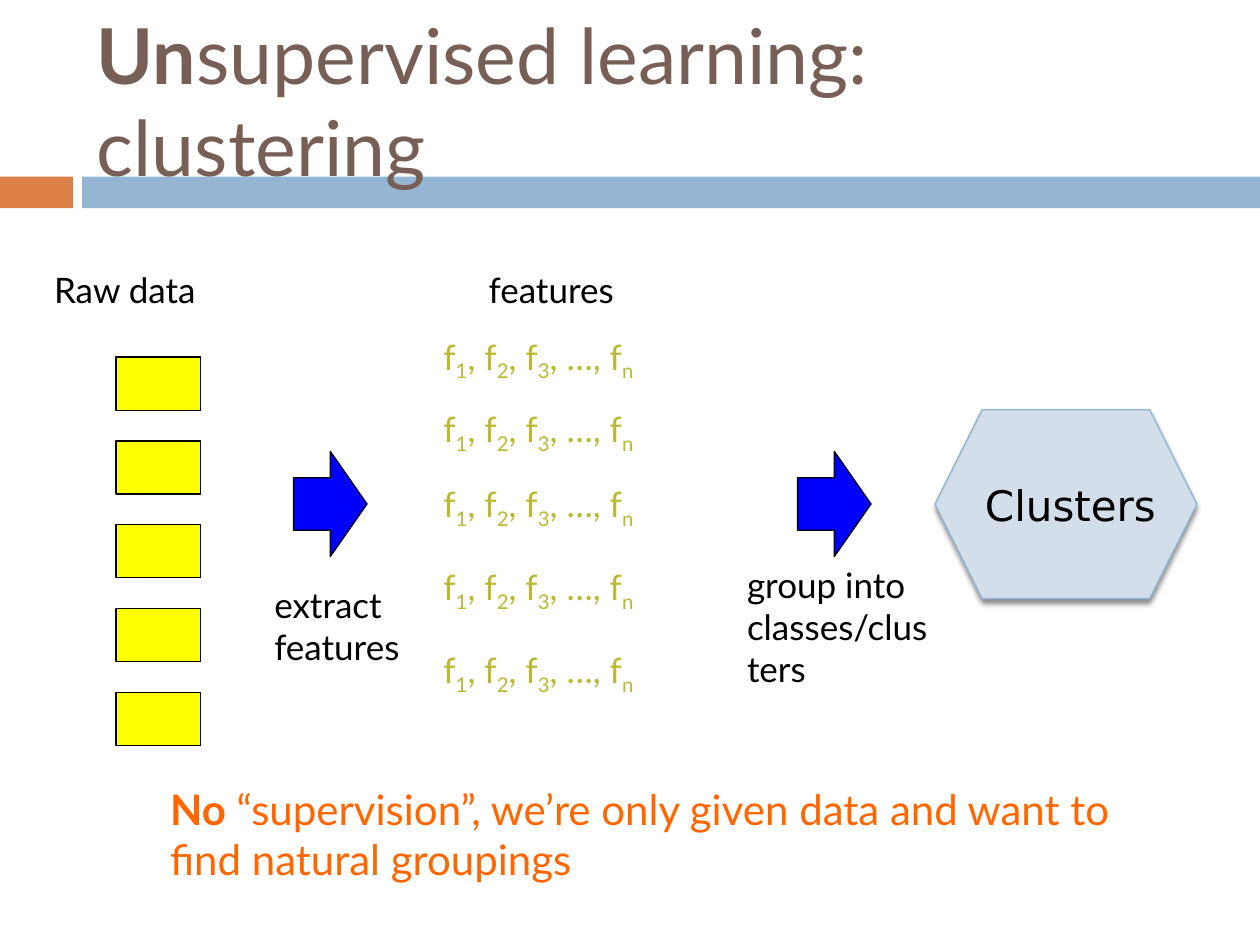
from lxml import etree
from pptx import Presentation
from pptx.dml.color import RGBColor
from pptx.enum import shapes, text
from pptx.oxml.ns import qn
from pptx.util import Cm, Pt

ORANGE = RGBColor(0xDD, 0x80, 0x47)
BLUE_GREY = RGBColor(0x94, 0xB6, 0xD2)
PALE_BLUE = RGBColor(0xD2, 0xDE, 0xEA)
BROWN = RGBColor(0x77, 0x5F, 0x55)
YELLOW = RGBColor(0xFF, 0xFF, 0x00)
BLUE = RGBColor(0x00, 0x00, 0xFF)
OLIVE = RGBColor(0xBA, 0xB9, 0x32)
BRIGHT_ORANGE = RGBColor(0xFF, 0x66, 0x00)
BLACK = RGBColor(0x00, 0x00, 0x00)
SHAPE = shapes.MSO_SHAPE

prs = Presentation()
prs.slide_width, prs.slide_height = Cm(25.4), Cm(19.05)
s = prs.slides.add_slide(prs.slide_layouts[5])


def add_shape(kind, x, y, w, h, fill, line=None, width=0.75):
    sp = s.shapes.add_shape(kind, Cm(x), Cm(y), Cm(w), Cm(h))
    sp.shadow.inherit = False
    sp.fill.solid()
    sp.fill.fore_color.rgb = fill
    if line is None:
        sp.line.fill.background()
    else:
        sp.line.color.rgb = line
        sp.line.width = Pt(width)
    return sp


def write(sp, paragraphs, size, color, font="Lato", wrap=True):
    """Fill a shape with paragraphs of (text, style) runs; style is "", "bold" or "sub"."""
    tf = sp.text_frame
    tf.word_wrap = wrap
    for i, runs in enumerate(paragraphs):
        p = tf.add_paragraph() if i else tf.paragraphs[0]
        p.alignment = text.PP_ALIGN.LEFT
        for content, style in runs:
            r = p.add_run()
            r.text = content
            r.font.name = font
            r.font.size = Pt(size)
            r.font.bold = style == "bold"
            r.font.color.rgb = color
            if style == "sub":
                r._r.get_or_add_rPr().set("baseline", "-25000")


# Title over the two-coloured band
add_shape(SHAPE.RECTANGLE, 0, 3.56, 1.47, 0.64, ORANGE)
add_shape(SHAPE.RECTANGLE, 1.65, 3.56, 23.75, 0.64, BLUE_GREY)
title = s.shapes.title
title.left, title.top, title.width, title.height = Cm(1.7), Cm(0.64), Cm(22.66), Cm(2.74)
title.text_frame.vertical_anchor = text.MSO_ANCHOR.MIDDLE
title.text_frame.auto_size = text.MSO_AUTO_SIZE.NONE
write(title, [[("Un", "bold"), ("supervised learning: clustering", "")]], 44, BROWN)
s.shapes._spTree.append(title._element)  # in front of the band

# Raw data items and the two step arrows
for i in range(5):
    add_shape(SHAPE.RECTANGLE, 2.34, 7.2 + i * 1.69, 1.7, 1.07, YELLOW, BLACK)
for x in (5.92, 16.08):
    add_shape(SHAPE.RIGHT_ARROW, x, 9.1, 1.48, 2.12, BLUE, BLACK)

# Labels, feature vectors and conclusion
vector = [("f", ""), ("1", "sub"), (", f", ""), ("2", "sub"), (", f", ""), ("3", "sub"),
          (", …, f", ""), ("n", "sub")]
conclusion = [("No", "bold"),
              (" “supervision”, we’re only given data and want to find natural groupings", "")]
boxes = [
    (0.84, 5.28, 3.53, 1.12, [[("Raw data", "")]], 20, BLACK, False),
    (9.6, 5.28, 3.1, 1.12, [[("features", "")]], 20, BLACK, False),
    (5.28, 11.63, 3.12, 1.96, [[("extract", "")], [("features", "")]], 20, BLACK, False),
    (14.81, 11.23, 4.24, 2.82, [[("group into classes/clusters", "")]], 20, BLACK, True),
    (3.18, 15.67, 20.04, 2.31, [conclusion], 24, BRIGHT_ORANGE, True),
]
boxes += [(8.69, y, 5.28, 1.12, [vector], 20, OLIVE, True)
          for y in (6.63, 8.1, 9.6, 11.28, 12.95)]
for x, y, w, h, paragraphs, size, color, wrap in boxes:
    box = s.shapes.add_textbox(Cm(x), Cm(y), Cm(w), Cm(h))
    write(box, paragraphs, size, color, wrap=wrap)
    box.text_frame.auto_size = text.MSO_AUTO_SIZE.SHAPE_TO_FIT_TEXT

# Resulting clusters, with a soft shadow below
clusters = add_shape(SHAPE.HEXAGON, 18.85, 8.26, 5.28, 3.81, PALE_BLUE, BLUE_GREY, 0.79)
clusters.text_frame.vertical_anchor = text.MSO_ANCHOR.MIDDLE
write(clusters, [[("Clusters", "")]], 24, BLACK, "DejaVu Sans", wrap=False)
effects = clusters._element.spPr.find(qn("a:effectLst"))
shadow = etree.SubElement(effects, qn("a:outerShdw"), blurRad=str(Pt(3)), dist=str(Pt(2.4)),
                          dir="5400000", rotWithShape="0")
shade = etree.SubElement(shadow, qn("a:srgbClr"), val=str(BLACK))
etree.SubElement(shade, qn("a:alpha"), val="45000")

prs.save("out.pptx")
